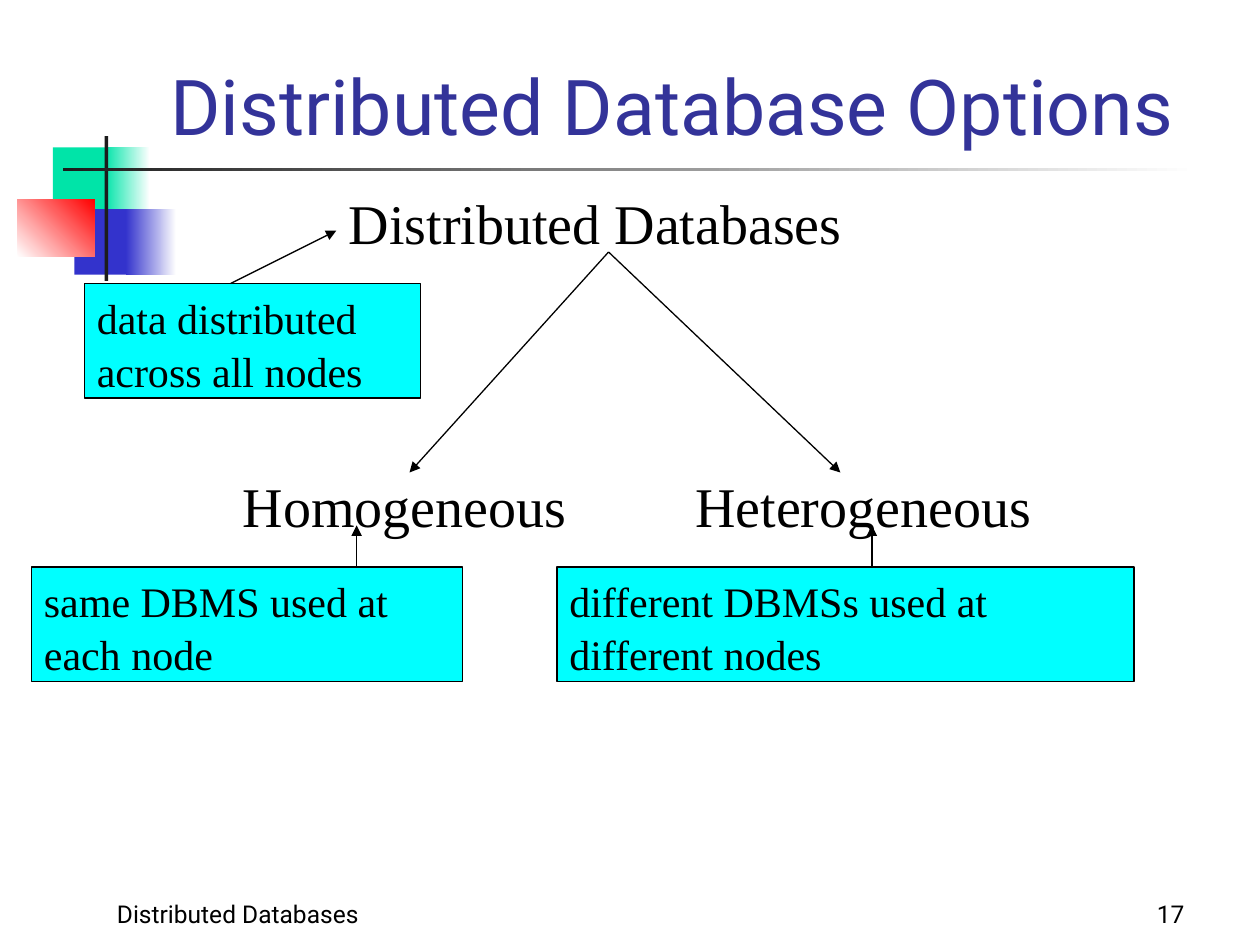
from pptx import Presentation
from pptx.dml.color import RGBColor
from pptx.enum.shapes import MSO_CONNECTOR, MSO_SHAPE
from pptx.enum.text import MSO_ANCHOR as ANCHOR, MSO_AUTO_SIZE as AUTOSIZE, PP_ALIGN as ALIGN
from pptx.oxml.ns import qn
from pptx.util import Inches, Pt
from lxml.etree import SubElement

SANS, SERIF = "Roboto", "Times New Roman"
BLACK, WHITE, CHARCOAL = "000000", "FFFFFF", "1C1C1C"
GREEN, BLUE, RED, CYAN, NAVY = "00E4A8", "3333CC", "FF0000", "00FFFF", "333399"


def rgb(value):
    return RGBColor.from_string(value)


def inches(lengths):
    return [Inches(length) for length in lengths]


class SlideBuilder:
    def __init__(self, slide):
        self.slide = slide
        self.shapes = slide.shapes

    def set_text(self, shape, text, size, font=SERIF, color=BLACK, anchor=ANCHOR.TOP,
                 align=ALIGN.LEFT, spacing=1.05, autosize=AUTOSIZE.NONE):
        frame = shape.text_frame
        frame.text = text
        frame_format = {"word_wrap": True, "auto_size": autosize, "vertical_anchor": anchor}
        for name, value in frame_format.items():
            setattr(frame, name, value)
        paragraph = frame.paragraphs[0]
        paragraph.alignment = align
        paragraph.line_spacing = spacing
        run_font = paragraph.runs[0].font
        run_font.name, run_font.size = font, Pt(size)
        run_font.color.rgb = rgb(color)

    def title(self, text, place):
        title = self.shapes.title
        for name, value in zip(("left", "top", "width", "height"), inches(place)):
            setattr(title, name, value)
        self.set_text(title, text, 44, SANS, NAVY, ANCHOR.BOTTOM, spacing=1.0)

    def label(self, text, place, size=32, **style):
        self.set_text(self.shapes.add_textbox(*inches(place)), text, size, **style)

    def block(self, place, start, end=None, angle=0):
        """Add an unlined rectangle, with a gradient when an end colour is given."""
        block = self.shapes.add_shape(MSO_SHAPE.RECTANGLE, *inches(place))
        block.shadow.inherit = False
        block.line.fill.background()
        if end:
            block.fill.gradient()
            block.fill.gradient_angle = angle
            for stop, color in zip(block.fill.gradient_stops, (start, end)):
                stop.color.rgb = rgb(color)
        else:
            block.fill.solid()
            block.fill.fore_color.rgb = rgb(start)
        return block

    def note(self, text, place):
        note = self.block(place, CYAN)
        note.line.color.rgb = rgb(BLACK)
        note.line.width = Pt(0.75)
        self.set_text(note, text, 24, autosize=AUTOSIZE.SHAPE_TO_FIT_TEXT)

    def arrow(self, start, end):
        arrow = self.shapes.add_connector(MSO_CONNECTOR.STRAIGHT, *inches(start + end))
        arrow.line.color.rgb = rgb(BLACK)
        arrow.line.width = Pt(0.75)
        properties = arrow._element.spPr
        SubElement(properties.find(qn("a:ln")), qn("a:tailEnd"), type="triangle")
        SubElement(properties, qn("a:effectLst"))


def main():
    deck = Presentation()
    deck.slide_width, deck.slide_height = inches((10, 7.5))
    page = SlideBuilder(deck.slides.add_slide(deck.slide_layouts[5]))

    page.block((0.42, 1.17, 0.48, 0.52), GREEN)
    page.block((0.83, 1.17, 0.36, 0.52), GREEN, WHITE)
    page.block((0.59, 1.66, 0.46, 0.52), BLUE)
    page.block((1, 1.66, 0.4, 0.52), BLUE, WHITE)
    page.block((0.14, 1.58, 0.61, 0.46), WHITE, RED, angle=45)
    page.block((0.83, 1.08, 0.03, 1.15), CHARCOAL)
    page.block((0.5, 1.33, 9, 0.03), CHARCOAL, WHITE)

    footer = {"size": 14, "font": SANS, "anchor": ANCHOR.BOTTOM, "spacing": 1.0}
    page.label("Distributed Databases", (0.83, 6.92, 4.17, 0.5), **footer)
    page.label("17", (7.42, 6.92, 2.08, 0.5), align=ALIGN.RIGHT, **footer)
    page.title("Distributed Database Options", (1.25, 0, 8.52, 1.25))

    for text, place in (
        ("Distributed Databases", (2.67, 1.42, 4.75, 0.63)),
        ("Homogeneous", (1.83, 3.67, 2.83, 0.63)),
        ("Heterogeneous", (5.42, 3.67, 2.92, 0.63)),
    ):
        page.label(text, place, autosize=AUTOSIZE.SHAPE_TO_FIT_TEXT)

    root = (4.83, 2)
    for branch_x in (3.25, 6.67):
        page.arrow(root, (branch_x, 3.75))

    for text, place, start, end in (
        ("data distributed across all nodes", (0.67, 2.25, 2.67, 0.91), (1.83, 2.25), (2.67, 1.83)),
        ("same DBMS used at each node", (0.25, 4.5, 3.42, 0.91), (2.83, 4.5), (2.83, 4.17)),
        ("different DBMSs used at different nodes", (4.42, 4.5, 4.58, 0.91), (6.92, 4.5), (6.92, 4.17)),
    ):
        page.note(text, place)
        page.arrow(start, end)

    deck.save("out.pptx")


if __name__ == "__main__":
    main()
